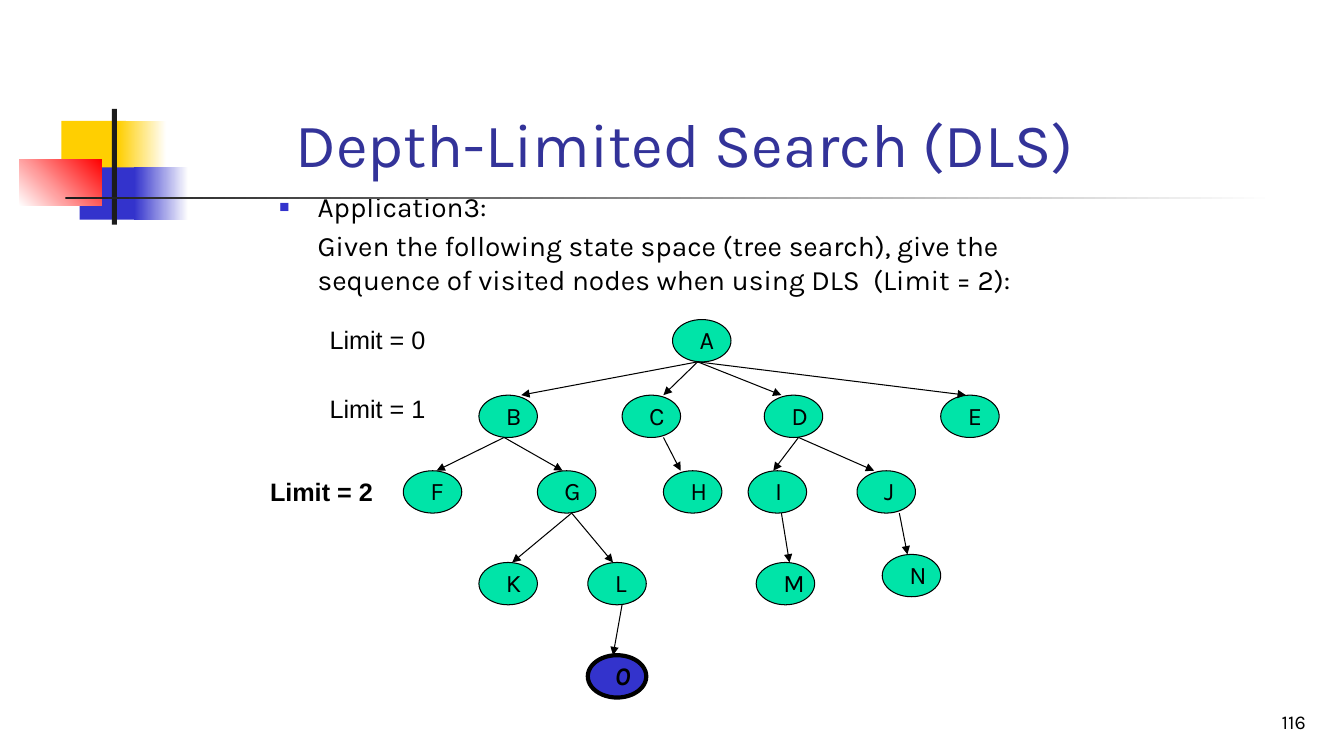
import pptx
import pptx.dml.color
import pptx.enum.shapes
import pptx.enum.text
import pptx.oxml.ns
import pptx.util
from lxml import etree

Inches = pptx.util.Inches
Pt = pptx.util.Pt
SHAPE = pptx.enum.shapes.MSO_SHAPE
ALIGN = pptx.enum.text.PP_ALIGN
ANCHOR = pptx.enum.text.MSO_ANCHOR
FIT = pptx.enum.text.MSO_AUTO_SIZE

NODE_W, NODE_H = 0.58, 0.42
ROWS = [3.17, 3.92, 4.67, 5.58, 6.5]

# Node: left edge, top edge
NODES = {
    "A": (6.67, ROWS[0]),
    "B": (4.75, ROWS[1]), "C": (6.17, ROWS[1]),
    "D": (7.58, ROWS[1]), "E": (9.33, ROWS[1]),
    "F": (4, ROWS[2]), "G": (5.33, ROWS[2]), "H": (6.58, ROWS[2]),
    "I": (7.42, ROWS[2]), "J": (8.5, ROWS[2]),
    "K": (4.75, ROWS[3]), "L": (5.83, ROWS[3]),
    "M": (7.5, ROWS[3]), "N": (8.75, 5.5),
    "O": (5.83, ROWS[4]),
}

# Edge: parent, child, x at the start, x at the tip
EDGES = [
    ("A", "B", 6.92, 5.17), ("A", "C", 6.92, 6.58),
    ("A", "D", 6.92, 7.75), ("A", "E", 6.92, 9.58),
    ("B", "F", 5, 4.33), ("B", "G", 5, 5.58),
    ("C", "H", 6.58, 6.75),
    ("D", "I", 7.92, 7.67), ("D", "J", 7.92, 8.67),
    ("G", "K", 5.67, 5.08), ("G", "L", 5.67, 6.08),
    ("I", "M", 7.75, 7.83), ("J", "N", 8.92, 9),
    ("L", "O", 6.17, 6.08),
]


def color(hexa):
    return pptx.dml.color.RGBColor.from_string(hexa)


def add_xml(parent, tag, **attrs):
    return etree.SubElement(parent, pptx.oxml.ns.qn(tag), **attrs)


def write(para, text, size=18, font="Karla", ink="000000", bold=False,
          slant=False, align=ALIGN.LEFT):
    para.alignment = align
    run = para.add_run()
    run.text = text
    run.font.size = Pt(size)
    run.font.name = font
    run.font.bold = bold
    run.font.italic = slant
    run.font.color.rgb = color(ink)


class Deck:
    ink, blue, green = "000000", "3333CC", "00E4A8"

    def __init__(self, slide):
        self.slide = slide
        self.shapes = slide.shapes

    def place(self, shape, box):
        shape.left, shape.top, shape.width, shape.height = map(Inches, box)

    def shape(self, kind, box, fill, line=None, angle=0):
        """A pair of colours as fill makes a gradient."""
        item = self.shapes.add_shape(kind, *map(Inches, box))
        item.shadow.inherit = False
        if isinstance(fill, tuple):
            item.fill.gradient()
            item.fill.gradient_angle = angle
            for stop, tone in zip(item.fill.gradient_stops, fill):
                stop.color.rgb = color(tone)
        else:
            item.fill.solid()
            item.fill.fore_color.rgb = color(fill)
        if line:
            item.line.color.rgb = color(self.ink)
            item.line.width = Pt(line)
        else:
            item.line.fill.background()

    def label(self, text, box, anchor=ANCHOR.TOP, fit=FIT.SHAPE_TO_FIT_TEXT, **style):
        frame = self.shapes.add_textbox(*map(Inches, box)).text_frame
        frame.word_wrap = True
        frame.auto_size = fit
        frame.vertical_anchor = anchor
        write(frame.paragraphs[0], text, **style)

    def holder(self, shape, box, anchor):
        self.place(shape, box)
        frame = shape.text_frame
        frame.word_wrap = True
        frame.auto_size = FIT.NONE
        frame.vertical_anchor = anchor
        return frame

    def title(self, text, box):
        frame = self.holder(self.shapes.title, box, ANCHOR.BOTTOM)
        write(frame.paragraphs[0], text, size=44, ink="333399")

    def body(self, head, text, box):
        frame = self.holder(self.slide.placeholders[1], box, ANCHOR.TOP)
        first, second = frame.paragraphs[0], frame.add_paragraph()
        for para, words, hang in ((first, head, -0.38), (second, text, 0)):
            write(para, words, size=20)
            para.space_before = Pt(4)
            props = para._p.get_or_add_pPr()
            props.set("marL", str(Inches(0.38)))
            props.set("indent", str(Inches(hang)))
            if hang:
                add_xml(add_xml(props, "a:buClr"), "a:srgbClr", val=self.blue)
                add_xml(props, "a:buSzPct", val="60000")
                add_xml(props, "a:buFont", typeface="Arial")
                add_xml(props, "a:buChar", char="■")
            else:
                add_xml(props, "a:buNone")

    def node(self, name, left, top, goal=False):
        self.shape(SHAPE.OVAL, (left, top, NODE_W, NODE_H),
                   self.blue if goal else self.green, line=3 if goal else 0.75)
        self.label(name, (left + 0.17, top, 0.42, 0.4), bold=goal, slant=goal)

    def arrow(self, start, end):
        item = self.shapes.add_connector(
            pptx.enum.shapes.MSO_CONNECTOR.STRAIGHT, *map(Inches, start + end))
        item.line.color.rgb = color(self.ink)
        item.line.width = Pt(0.75)
        add_xml(item.line._get_or_add_ln(), "a:tailEnd", type="triangle")
        add_xml(item._element.spPr, "a:effectLst")


def main():
    show = pptx.Presentation()
    show.slide_width, show.slide_height = Inches(13.33), Inches(7.5)
    deck = Deck(show.slides.add_slide(show.slide_layouts[1]))

    # Corner blocks and rules
    for box, fill, angle in [
        ((0.61, 1.2, 0.64, 0.52), "FFCF01", 0),
        ((1.17, 1.2, 0.48, 0.52), ("FFCF01", "FFFFFF"), 0),
        ((0.79, 1.66, 0.62, 0.52), "3333CC", 0),
        ((1.33, 1.66, 0.54, 0.52), ("3333CC", "FFFFFF"), 0),
        ((0.19, 1.58, 0.82, 0.46), ("FFFFFF", "FF0000"), 45),
        ((1.11, 1.08, 0.05, 1.15), "1C1C1C", 0),
        ((0.65, 1.95, 12, 0.03), ("1C1C1C", "FFFFFF"), 0),
    ]:
        deck.shape(SHAPE.RECTANGLE, box, fill, angle=angle)

    # Heading, task and page number
    deck.title("Depth-Limited Search (DLS)", (2.83, 0.58, 8.5, 1.25))
    deck.body("Application3:",
              "Given the following state space (tree search), give the sequence "
              "of visited nodes when using DLS  (Limit = 2):",
              (2.67, 1.83, 8.5, 0.92))
    deck.label("116", (10.27, 6.83, 2.78, 0.5), anchor=ANCHOR.BOTTOM,
               fit=FIT.NONE, size=14, align=ALIGN.RIGHT)

    # Search tree
    for name, (left, top) in NODES.items():
        deck.node(name, left, top, goal=name == "O")
    for parent, child, start, tip in EDGES:
        deck.arrow((start, NODES[parent][1] + NODE_H), (tip, NODES[child][1]))

    # Depth labels
    for depth, (left, top) in enumerate([(3.17, 3.17), (3.17, 3.85), (2.58, 4.68)]):
        deck.label(f"Limit = {depth}", (left, top, 1.33, 0.4),
                   font="Arial", bold=depth == 2)

    show.save("out.pptx")


if __name__ == "__main__":
    main()
